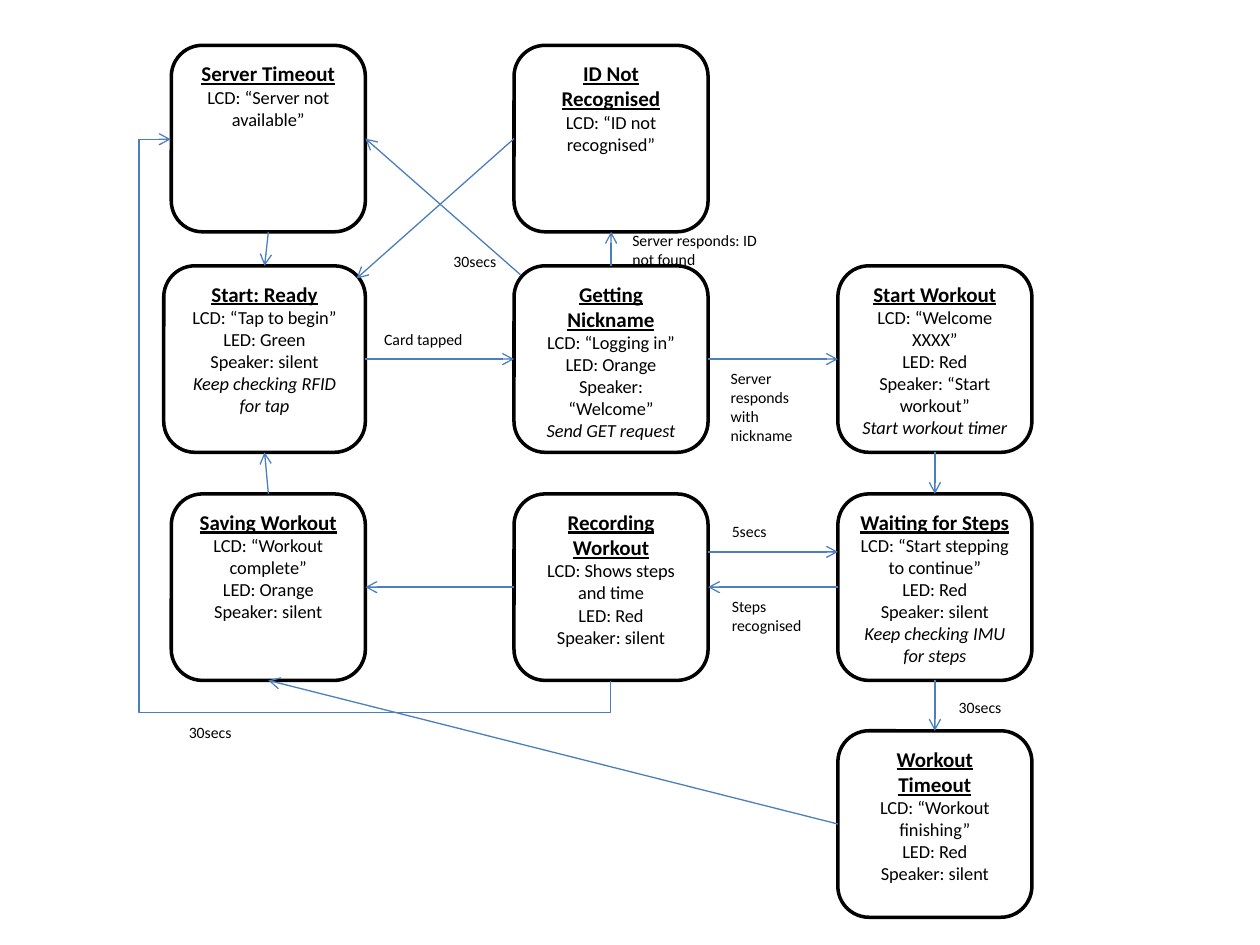
"""Build a state diagram of a tap-in workout tracker."""
import pptx
import pptx.dml.color
import pptx.enum.shapes
import pptx.enum.text
import pptx.oxml
import pptx.oxml.ns
import pptx.util

Inches = pptx.util.Inches
Pt = pptx.util.Pt
CONNECTOR = pptx.enum.shapes.MSO_CONNECTOR
BLACK = pptx.dml.color.RGBColor(0x00, 0x00, 0x00)
WHITE = pptx.dml.color.RGBColor(0xFF, 0xFF, 0xFF)
BLUE = pptx.dml.color.RGBColor(0x4B, 0x7E, 0xBC)
FONT = "Calibri"
COLUMNS = (1.36, 4.08, 6.65)
ROWS = (0.36, 2.11, 3.92, 5.8)
STATE_WIDTH, STATE_HEIGHT = 1.54, 1.48
READY_EXTRA = 0.06
TOP, LEFT, BOTTOM, RIGHT = range(4)

STATES = [
    ("Start: Ready", 0, 1,
     ["LCD: “Tap to begin”", "LED: Green", "Speaker: silent"],
     "Keep checking RFID for tap"),
    ("Getting Nickname", 1, 1,
     ["LCD: “Logging in”", "LED: Orange", "Speaker: “Welcome”"],
     "Send GET request"),
    ("Start Workout", 2, 1,
     ["LCD: “Welcome XXXX”", "LED: Red", "Speaker: “Start workout”"],
     "Start workout timer"),
    ("Waiting for Steps", 2, 2,
     ["LCD: “Start stepping to continue”", "LED: Red", "Speaker: silent"],
     "Keep checking IMU for steps"),
    ("Recording Workout", 1, 2,
     ["LCD: Shows steps and time", "LED: Red", "Speaker: silent"], None),
    ("Workout Timeout", 2, 3,
     ["LCD: “Workout finishing”", "LED: Red", "Speaker: silent"], None),
    ("Saving Workout", 0, 2,
     ["LCD: “Workout complete”", "LED: Orange", "Speaker: silent"], None),
    ("ID Not Recognised", 1, 0, ["LCD: “ID not recognised”"], None),
    ("Server Timeout", 0, 0, ["LCD: “Server not available”"], None),
]
TRANSITIONS = [
    ("Start: Ready", RIGHT, "Getting Nickname", LEFT),
    ("Getting Nickname", RIGHT, "Start Workout", LEFT),
    ("Start Workout", BOTTOM, "Waiting for Steps", TOP),
    ("Waiting for Steps", LEFT, "Recording Workout", RIGHT),
    ("Waiting for Steps", BOTTOM, "Workout Timeout", TOP),
    ("Workout Timeout", LEFT, "Saving Workout", BOTTOM),
    ("Recording Workout", LEFT, "Saving Workout", RIGHT),
    ("Saving Workout", TOP, "Start: Ready", BOTTOM),
    ("Server Timeout", BOTTOM, "Start: Ready", TOP),
    ("Getting Nickname", TOP, "ID Not Recognised", BOTTOM),
]
FREE_ARROWS = [
    (5.62, 4.38, 6.65, 4.38),
    (4.08, 1.1, 2.83, 2.21),
    (4.13, 2.18, 2.9, 1.1),
]
LABELS = [
    ("Card tapped", 2.95, 2.57, 1.02, 0.25),
    ("Server responds: ID not found", 4.92, 1.78, 1.26, 0.4),
    ("30secs", 3.5, 1.95, 0.55, 0.25),
    ("Server responds with nickname", 5.7, 2.88, 0.87, 0.71),
    ("Steps recognised", 5.71, 4.69, 0.87, 0.4),
    ("5secs", 5.71, 4.09, 0.87, 0.25),
    ("30secs", 7.51, 5.49, 0.87, 0.25),
    ("30secs", 1.4, 5.69, 0.87, 0.25),
]


def add_span(para, text, size, bold=False, italic=False, underline=False):
    """Append one formatted run to a paragraph."""
    span = para.add_run()
    span.text = text
    font = span.font
    font.name, font.size, font.color.rgb = FONT, Pt(size), BLACK
    font.bold, font.italic, font.underline = bold, italic, underline


def add_state(page, title, column, row, outputs, action):
    """Draw one rounded state box with its heading, outputs and action."""
    extra = READY_EXTRA if title == "Start: Ready" else 0
    box = page.shapes.add_shape(
        pptx.enum.shapes.MSO_SHAPE.ROUNDED_RECTANGLE,
        Inches(COLUMNS[column] - extra), Inches(ROWS[row]),
        Inches(STATE_WIDTH + extra), Inches(STATE_HEIGHT))
    box.shadow.inherit = False
    box.fill.solid()
    box.fill.fore_color.rgb = WHITE
    box.line.color.rgb = BLACK
    box.line.width = Pt(2)
    frame = box.text_frame
    frame.word_wrap = True
    frame.vertical_anchor = pptx.enum.text.MSO_ANCHOR.TOP
    add_span(frame.paragraphs[0], title, 12, bold=True, underline=True)
    for text in outputs:
        add_span(frame.add_paragraph(), text, 10.5)
    if action:
        add_span(frame.add_paragraph(), action, 10.5, italic=True)
    for para in frame.paragraphs:
        para.alignment = pptx.enum.text.PP_ALIGN.CENTER
    return box


def add_arrow(page, start_x, start_y, end_x, end_y, kind=CONNECTOR.STRAIGHT):
    """Draw a thin blue connector with an open arrowhead at its end."""
    arrow = page.shapes.add_connector(
        kind, Inches(start_x), Inches(start_y), Inches(end_x), Inches(end_y))
    arrow.line.color.rgb = BLUE
    arrow.line.width = Pt(0.75)
    namespace = pptx.oxml.ns.nsdecls("a")
    arrow.line._get_or_add_ln().append(
        pptx.oxml.parse_xml(f'<a:tailEnd {namespace} type="arrow"/>'))
    arrow._element.spPr.append(
        pptx.oxml.parse_xml(f"<a:effectLst {namespace}/>"))
    return arrow


def add_transition(page, boxes, source, source_side, target, target_side):
    """Join two state boxes with an attached arrow."""
    arrow = add_arrow(page, 0, 0, 1, 1)
    arrow.begin_connect(boxes[source], source_side)
    arrow.end_connect(boxes[target], target_side)


def add_timeout_route(page):
    """Draw the bent arrow from Recording Workout round to Server Timeout."""
    arrow = add_arrow(page, 5.25, 1.51, 0.95, 5.0, CONNECTOR.ELBOW)
    properties = arrow._element.spPr
    properties.find(pptx.oxml.ns.qn("a:xfrm")).set("rot", "5400000")
    geometry = properties.find(pptx.oxml.ns.qn("a:prstGeom"))
    geometry.set("prst", "bentConnector4")
    guides = geometry.find(pptx.oxml.ns.qn("a:avLst"))
    for name, value in (("adj1", -5800), ("adj2", 107200)):
        guides.append(pptx.oxml.parse_xml(
            f'<a:gd {pptx.oxml.ns.nsdecls("a")} name="{name}" '
            f'fmla="val {value}"/>'))


def add_label(page, text, left, top, width, height):
    """Place a small transition label."""
    box = page.shapes.add_textbox(
        Inches(left), Inches(top), Inches(width), Inches(height))
    box.text_frame.word_wrap = True
    box.text_frame.auto_size = pptx.enum.text.MSO_AUTO_SIZE.SHAPE_TO_FIT_TEXT
    add_span(box.text_frame.paragraphs[0], text, 9)


def main():
    """Assemble the diagram and save it."""
    deck = pptx.Presentation()
    deck.slide_width, deck.slide_height = Inches(10), Inches(7.5)
    page = deck.slides.add_slide(deck.slide_layouts[6])
    boxes = {state[0]: add_state(page, *state) for state in STATES}
    for transition in TRANSITIONS:
        add_transition(page, boxes, *transition)
    for ends in FREE_ARROWS:
        add_arrow(page, *ends)
    add_timeout_route(page)
    for label in LABELS:
        add_label(page, *label)
    deck.save("out.pptx")


main()
